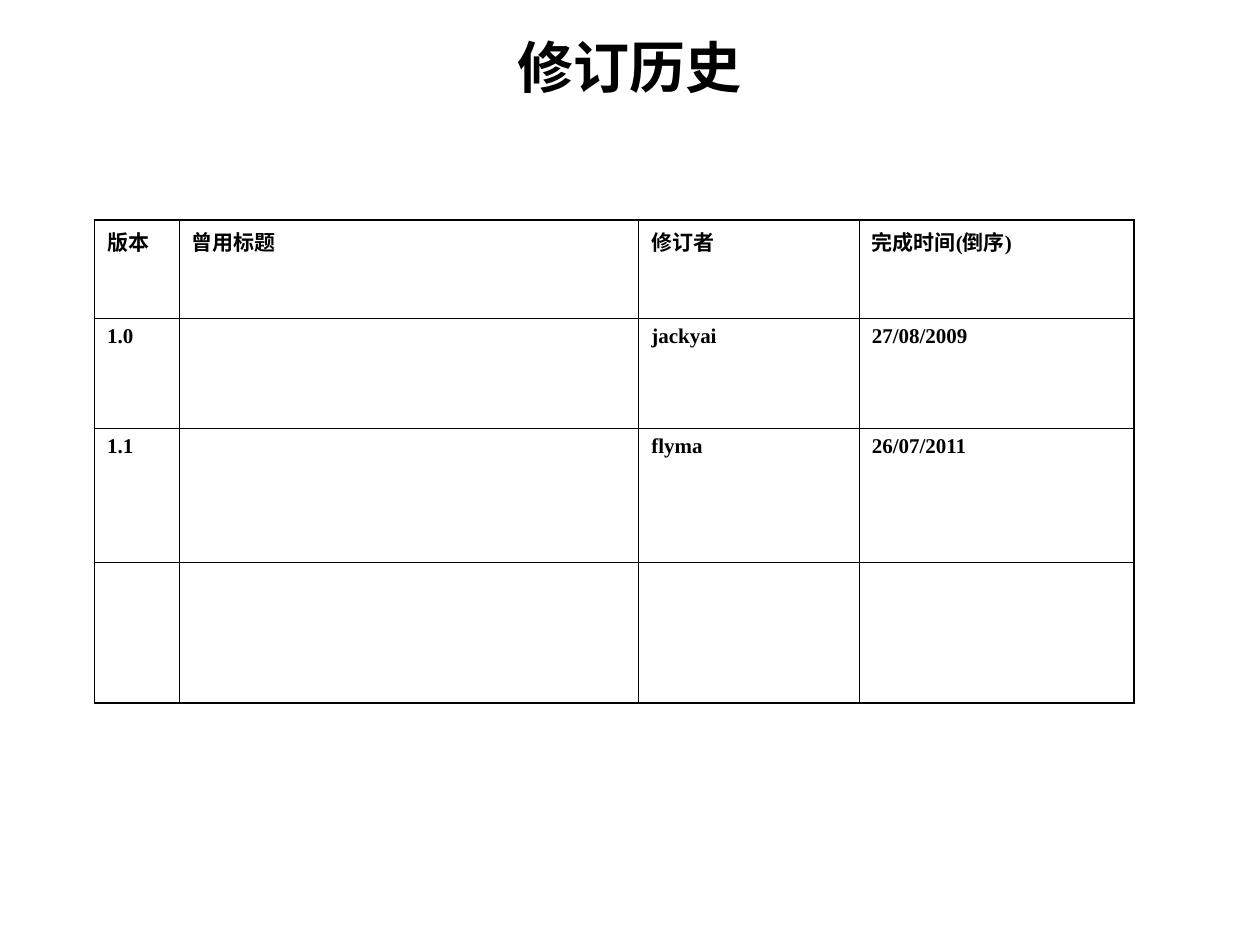
from dataclasses import dataclass

from lxml import etree
from pptx import Presentation
from pptx import util as u
from pptx.dml.color import RGBColor
from pptx.enum import text
from pptx.oxml.ns import qn


@dataclass(frozen=True)
class Theme:
    font: str = "Times New Roman"
    ink: str = "000000"
    paper: str = "FFFFFF"
    title_size: float = 32
    cell_size: float = 12
    outer_line: float = 1.08
    inner_line: float = 0.45


THEME = Theme()
SLIDE_WIDTH, SLIDE_HEIGHT = u.Inches(10), u.Inches(7.5)

# Table grid, in inches
COLUMNS = (0.67, 3.65, 1.75, 2.18)
ROWS = (0.78, 0.87, 1.07, 1.11)
REVISIONS = (
    ("版本", "曾用标题", "修订者", "完成时间(倒序)"),
    ("1.0", "", "jackyai", "27/08/2009"),
    ("1.1", "", "flyma", "26/07/2011"),
    ("", "", "", ""),
)


def share(left, top, width, height):
    """Turn shares of the slide's size into lengths."""
    return (int(left * SLIDE_WIDTH), int(top * SLIDE_HEIGHT),
            int(width * SLIDE_WIDTH), int(height * SLIDE_HEIGHT))


def style_text(text_frame, size, alignment):
    for paragraph in text_frame.paragraphs:
        paragraph.alignment = alignment
        font = paragraph.font
        for run in paragraph.runs:
            font = run.font
        font.name, font.size, font.bold = THEME.font, u.Pt(size), True
        font.color.rgb = RGBColor.from_string(THEME.ink)


def add_title(slide, wording):
    title = slide.shapes.title
    title.left, title.top, title.width, title.height = share(0.035, 0.01, 0.93, 0.12)
    title.text_frame.text = wording
    title.text_frame.vertical_anchor = text.MSO_ANCHOR.MIDDLE
    style_text(title.text_frame, THEME.title_size, text.PP_ALIGN.CENTER)


def set_border(cell, side, width):
    properties = cell._tc.get_or_add_tcPr()
    line = etree.SubElement(properties, qn(f"a:ln{side}"), w=str(u.Pt(width)))
    fill = etree.SubElement(line, qn("a:solidFill"))
    etree.SubElement(fill, qn("a:srgbClr"), val=THEME.ink)


def format_cell(cell, outer_sides):
    for side in "LRTB":
        width = THEME.outer_line if side in outer_sides else THEME.inner_line
        set_border(cell, side, width)
    cell.fill.solid()
    cell.fill.fore_color.rgb = RGBColor.from_string(THEME.paper)
    cell.vertical_anchor = text.MSO_ANCHOR.TOP
    style_text(cell.text_frame, THEME.cell_size, text.PP_ALIGN.LEFT)


def add_revision_table(slide):
    left, top, _, _ = share(0.075, 0.233, 0, 0)
    table = slide.shapes.add_table(
        len(ROWS), len(COLUMNS), left, top,
        u.Inches(sum(COLUMNS)), u.Inches(sum(ROWS))).table
    for column, width in zip(table.columns, COLUMNS):
        column.width = u.Inches(width)
    for row, height in zip(table.rows, ROWS):
        row.height = u.Inches(height)

    # The outline is heavier than the inner rules
    last_row, last_column = len(ROWS) - 1, len(COLUMNS) - 1
    for i, entries in enumerate(REVISIONS):
        for j, entry in enumerate(entries):
            edges = {"L": j == 0, "R": j == last_column,
                     "T": i == 0, "B": i == last_row}
            cell = table.cell(i, j)
            cell.text_frame.text = entry
            format_cell(cell, [side for side, outer in edges.items() if outer])


def main():
    presentation = Presentation()
    presentation.slide_width, presentation.slide_height = SLIDE_WIDTH, SLIDE_HEIGHT
    slide = presentation.slides.add_slide(presentation.slide_layouts[5])
    add_title(slide, "修订历史")
    add_revision_table(slide)
    presentation.save("out.pptx")


if __name__ == "__main__":
    main()
